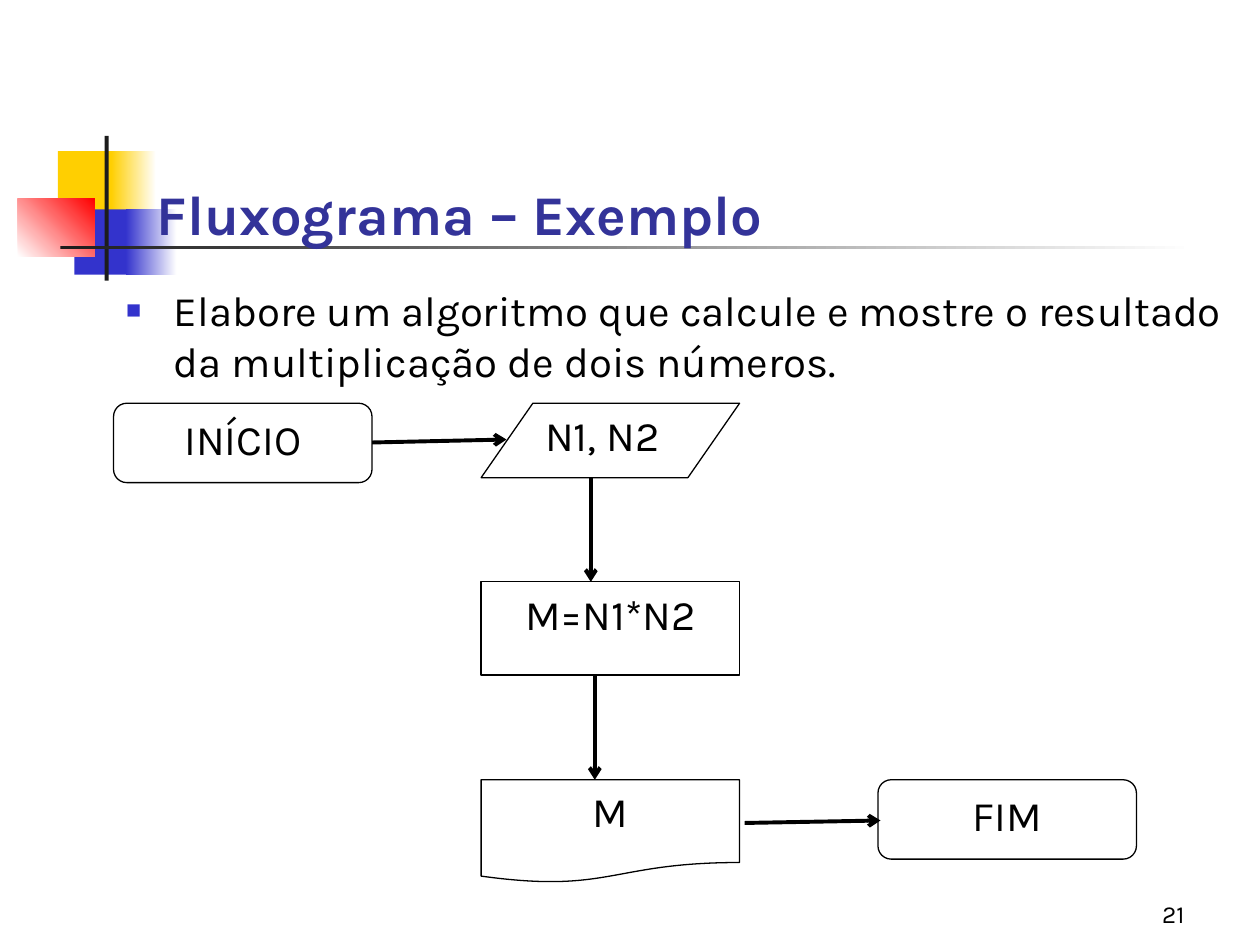
"""Build the flowchart example slide."""
from lxml.etree import SubElement
from pptx import Presentation
from pptx.dml.color import RGBColor
from pptx.enum.shapes import MSO_CONNECTOR as Link, MSO_SHAPE as Kind
from pptx.enum.text import MSO_ANCHOR as Anchor, MSO_AUTO_SIZE as Fit, PP_ALIGN as Align
from pptx.oxml.ns import qn
from pptx.util import Cm, Pt

COLORS = {
    "yellow": "FFCF01", "blue": "3333CC", "red": "FF0000", "dark": "1C1C1C",
    "white": "FFFFFF", "black": "000000", "title": "333399",
}


class SlideBuilder:
    font = "Karla"
    box_width = 5.21

    def __init__(self, slide):
        self.slide = slide

    def color(self, name):
        return RGBColor.from_string(COLORS[name])

    def place(self, shape, area):
        for name, value in zip(("left", "top", "width", "height"), area):
            setattr(shape, name, Cm(value))

    def fill_text(self, shape, text, size, color="black", align=Align.LEFT, bold=False,
                  anchor=Anchor.TOP, wrap=True):
        frame = shape.text_frame
        frame_format = {"auto_size": Fit.NONE, "vertical_anchor": anchor, "word_wrap": wrap}
        for name, value in frame_format.items():
            setattr(frame, name, value)
        para = frame.paragraphs[0]
        para.alignment = align
        span = para.add_run()
        span.text = text
        for name, value in {"name": self.font, "size": Pt(size), "bold": bold}.items():
            setattr(span.font, name, value)
        span.font.color.rgb = self.color(color)
        return para

    def shape(self, kind, area, fill=None):
        shape = self.slide.shapes.add_shape(kind, *map(Cm, area))
        shape.shadow.inherit = False
        shape.line.fill.background()
        if fill:
            shape.fill.solid()
            shape.fill.fore_color.rgb = self.color(fill)
        else:
            shape.fill.background()
        return shape

    def fade(self, area, start, end, angle=0):
        shape = self.shape(Kind.RECTANGLE, area)
        shape.fill.gradient()
        shape.fill.gradient_angle = angle
        for stop, name in zip(shape.fill.gradient_stops, (start, end)):
            stop.color.rgb = self.color(name)

    def step(self, kind, left, top, height, text, fill=None, align=Align.CENTER):
        box = self.shape(kind, (left, top, self.box_width, height), fill)
        box.line.color.rgb = self.color("black")
        box.line.width = Pt(0.75)
        self.fill_text(box, text, 24, align=align, wrap=False)

    def arrow(self, *ends):
        arrow = self.slide.shapes.add_connector(Link.STRAIGHT, *map(Cm, ends))
        arrow.line.color.rgb = self.color("black")
        arrow.line.width = Pt(2.25)
        props = arrow.element.spPr
        SubElement(props.find(qn("a:ln")), qn("a:tailEnd"), type="arrow")
        SubElement(props, qn("a:effectLst"))

    def placeholder(self, holder, area, text, size, **style):
        self.place(holder, area)
        holder.element.getparent().append(holder.element)
        return self.fill_text(holder, text, size, **style)

    def bullet(self, para, color, indent):
        para.space_before = Pt(6)
        props = para._p.get_or_add_pPr()
        props.set("marL", str(Cm(indent)))
        props.set("indent", str(-Cm(indent)))
        tint = SubElement(props, qn("a:buClr"))
        SubElement(tint, qn("a:srgbClr"), val=COLORS[color])
        SubElement(props, qn("a:buSzPct"), val="60000")
        SubElement(props, qn("a:buChar"), char="■")

    def label(self, area, text, size, **style):
        box = self.slide.shapes.add_textbox(*map(Cm, area))
        self.fill_text(box, text, size, **style)


def main():
    deck = Presentation()
    deck.slide_width, deck.slide_height = Cm(25.4), Cm(19.05)
    page = deck.slides.add_slide(deck.slide_layouts[1])
    builder = SlideBuilder(page)

    builder.shape(Kind.RECTANGLE, (1.17, 3.05, 1.22, 1.32), "yellow")
    builder.fade((2.24, 3.05, 0.91, 1.32), "yellow", "white")
    builder.shape(Kind.RECTANGLE, (1.5, 4.22, 1.17, 1.32), "blue")
    builder.fade((2.54, 4.22, 1.02, 1.32), "blue", "white")
    builder.fade((0.36, 4.01, 1.55, 1.17), "white", "red", 45)
    builder.shape(Kind.RECTANGLE, (2.11, 2.74, 0.08, 2.92), "dark")
    builder.fade((1.22, 4.95, 22.86, 0.08), "dark", "white")

    builder.placeholder(page.shapes.title, (2.9, 1.93, 21.64, 3.18), "Fluxograma – Exemplo", 32,
                        color="title", bold=True, anchor=Anchor.BOTTOM)
    task = builder.placeholder(
        page.placeholders[1], (2.29, 5.61, 22.62, 11.43),
        "Elabore um algoritmo que calcule e mostre o resultado da multiplicação de dois números.", 24)
    builder.bullet(task, "blue", 0.96)
    builder.label((18.85, 17.58, 5.28, 1.27), "21", 14, align=Align.RIGHT, anchor=Anchor.BOTTOM)

    start, middle, finish = 2.29, 9.7, 17.7
    first, second, third = 8.13, 11.73, 15.72
    builder.step(Kind.ROUNDED_RECTANGLE, start, first, 1.6, "INÍCIO")
    builder.step(Kind.FLOWCHART_DATA, middle, first, 1.5, "N1, N2", "white", Align.LEFT)
    builder.step(Kind.RECTANGLE, middle, second, 1.88, "M=N1*N2", "white")
    builder.step(Kind.FLOWCHART_DOCUMENT, middle, third, 2.08, "M", "white")
    builder.step(Kind.ROUNDED_RECTANGLE, finish, third, 1.6, "FIM")

    builder.arrow(11.91, first + 1.5, 11.91, second)
    builder.arrow(11.99, second + 1.88, 11.99, third)
    builder.arrow(start + builder.box_width, 8.92, 10.21, 8.86)
    builder.arrow(15.01, 16.59, 17.75, 16.54)
    deck.save("out.pptx")


if __name__ == "__main__":
    main()
